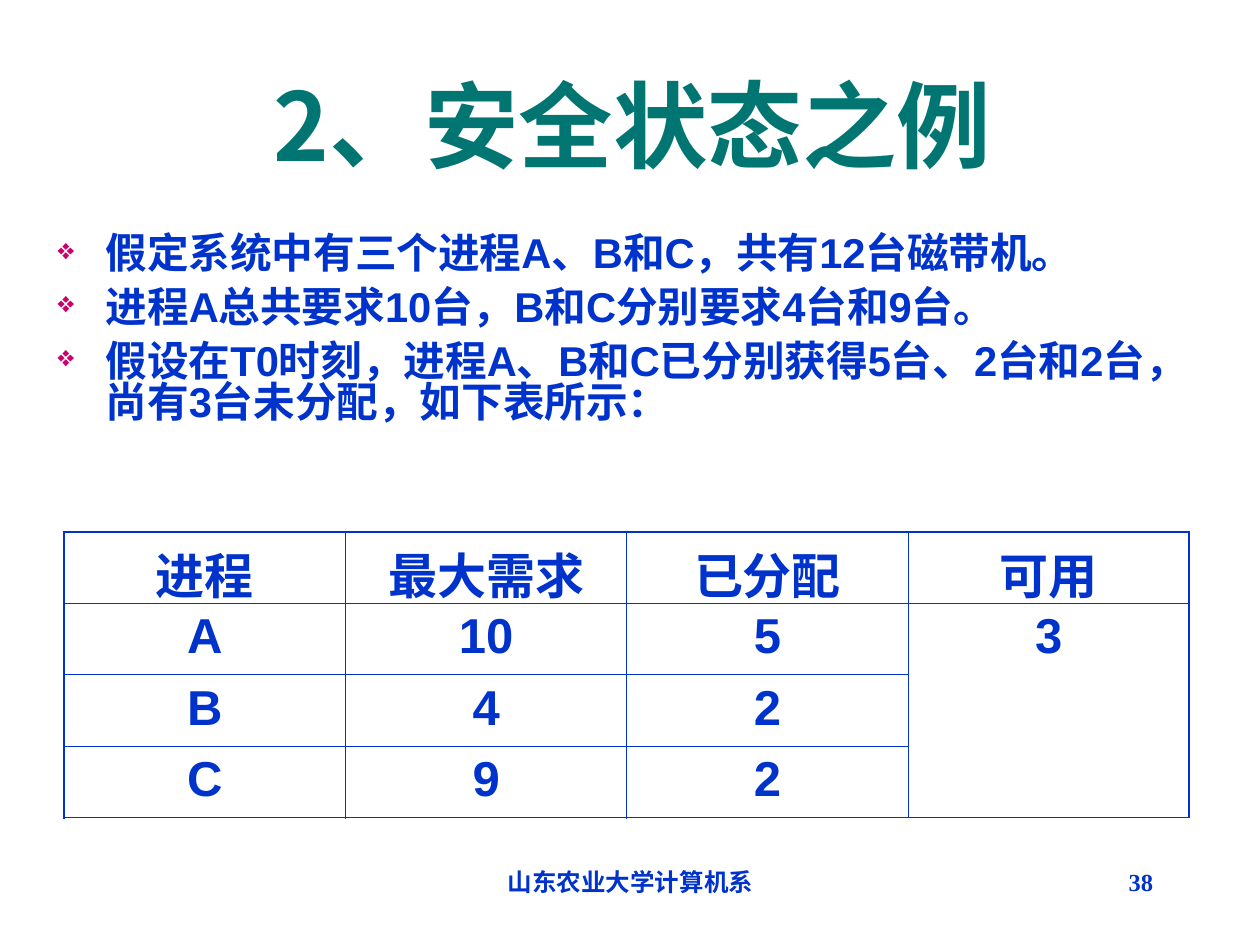
"""Build the safe-state example slide with its allocation table."""
import lxml.etree
import pptx
import pptx.dml.color
import pptx.enum.text
import pptx.oxml.ns
import pptx.util

Inches = pptx.util.Inches
Pt = pptx.util.Pt
Align = pptx.enum.text.PP_ALIGN
Anchor = pptx.enum.text.MSO_ANCHOR
qn = pptx.oxml.ns.qn
HUES = {"text": "0033CC", "title": "007572", "mark": "CC0066"}
HAN = "Noto Sans CJK SC"


def add_run(para, text, size, face, hue="text"):
    run = para.add_run()
    run.text = text
    font = run.font
    font.size = Pt(size)
    font.bold = True
    font.color.rgb = pptx.dml.color.RGBColor.from_string(HUES[hue])
    font.name = face
    lxml.etree.SubElement(run._r.get_or_add_rPr(), qn("a:ea"), typeface=HAN)


def add_box(left, top, width, height):
    box = slide.shapes.add_textbox(
        Inches(left), Inches(top), Inches(width), Inches(height))
    box.text_frame.word_wrap = True
    return box.text_frame


deck = pptx.Presentation()
deck.slide_width = Inches(10)
deck.slide_height = Inches(7.5)
slide = deck.slides.add_slide(deck.slide_layouts[6])

labels = [
    ("山东农业大学计算机系", (3.42, 6.83, 3.17, 0.5), Align.CENTER, 14,
     "Times New Roman", "text", Anchor.TOP),
    ("38", (7.17, 6.83, 2.08, 0.5), Align.RIGHT, 14,
     "Times New Roman", "text", Anchor.TOP),
    ("2、安全状态之例", (0.35, 0.36, 9.34, 1.25), Align.CENTER, 54,
     HAN, "title", Anchor.MIDDLE),
]
for text, place, align, size, face, hue, anchor in labels:
    frame = add_box(*place)
    frame.vertical_anchor = anchor
    para = frame.paragraphs[0]
    para.alignment = align
    add_run(para, text, size, face, hue)

points = [
    "假定系统中有三个进程A、B和C，共有12台磁带机。",
    "进程A总共要求10台，B和C分别要求4台和9台。",
    "假设在T0时刻，进程A、B和C已分别获得5台、2台和2台，尚有3台未分配，如下表所示：",
]
body = add_box(0.36, 1.78, 9.31, 2.02)
body.margin_top = Inches(0.09)
for i, text in enumerate(points):
    para = body.add_paragraph() if i else body.paragraphs[0]
    para.line_spacing = 0.83
    if i:
        para.space_before = Pt(7)
    props = para._p.get_or_add_pPr()
    props.set("marL", str(Inches(0.38)))
    props.set("indent", str(-Inches(0.38)))
    tint = lxml.etree.SubElement(props, qn("a:buClr"))
    lxml.etree.SubElement(tint, qn("a:srgbClr"), val=HUES["mark"])
    lxml.etree.SubElement(props, qn("a:buSzPct"), val="70000")
    lxml.etree.SubElement(props, qn("a:buChar"), char="❖")
    add_run(para, text, 23.8, "Arial")

rows = [
    ["进程", "最大需求", "已分配", "可用"],
    ["A", "10", "5", "3"],
    ["B", "4", "2", ""],
    ["C", "9", "2", ""],
]
count = len(rows)
grid = slide.shapes.add_table(
    count, count, Inches(0.51), Inches(4.22), Inches(8.93), Inches(2.27)).table
grid.first_row = False
grid.horz_banding = False
for r, row in enumerate(rows):
    for c, text in enumerate(row):
        cell = grid.cell(r, c)
        props = cell._tc.get_or_add_tcPr()
        outer = {"L": c == 0, "R": c == count - 1,
                 "T": r == 0, "B": r == count - 1}
        for side, edge in outer.items():
            line = lxml.etree.SubElement(
                props, qn("a:ln" + side), w=str(Pt(1.08 if edge else 0.45)))
            fill = lxml.etree.SubElement(line, qn("a:solidFill"))
            lxml.etree.SubElement(fill, qn("a:srgbClr"), val=HUES["text"])
        cell.fill.background()
        if text:
            para = cell.text_frame.paragraphs[0]
            para.alignment = Align.CENTER
            add_run(para, text, 28, "Arial")
grid.cell(1, 3).merge(grid.cell(3, 3))

deck.save("out.pptx")
